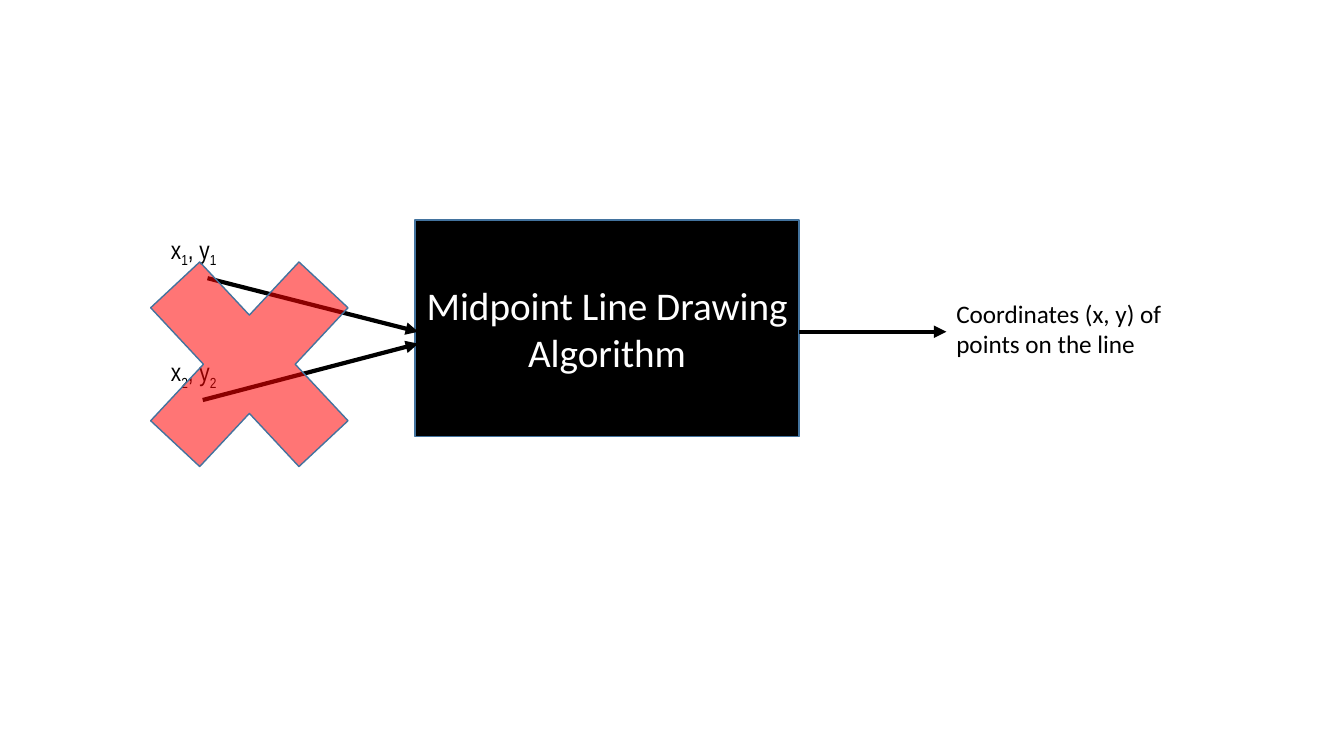
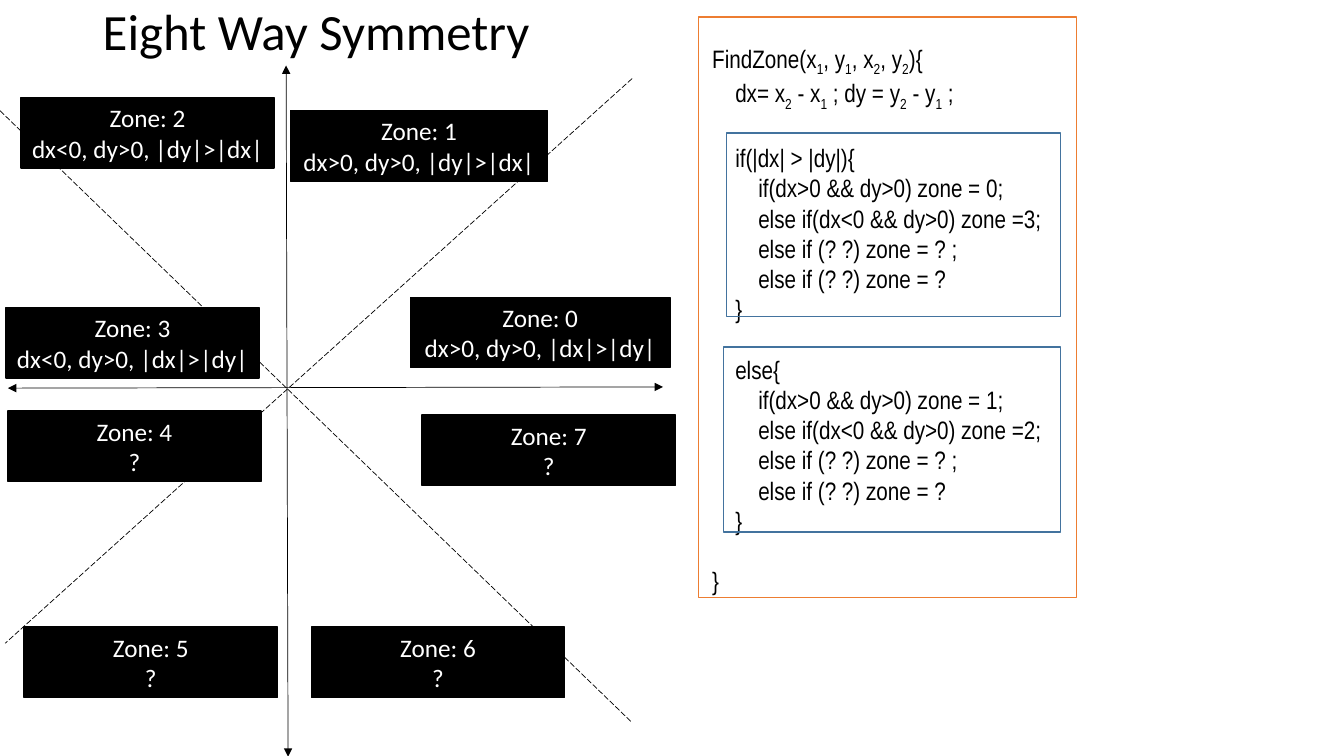
from dataclasses import dataclass

from lxml.etree import SubElement
from pptx import Presentation
from pptx.dml.color import RGBColor
from pptx.enum.dml import MSO_LINE
from pptx.enum.shapes import MSO_CONNECTOR, MSO_SHAPE
from pptx.enum.text import MSO_ANCHOR, PP_ALIGN
from pptx.oxml.ns import qn
from pptx.util import Cm, Pt


@dataclass(frozen=True)
class Theme:
    black: str = "000000"
    white: str = "FFFFFF"
    blue: str = "43739E"
    orange: str = "ED7D31"
    red: str = "FF0000"
    sans: str = "Calibri"
    narrow: str = "Arial Narrow"
    title_size: float = 36.3
    block_size: float = 28
    body_size: float = 18
    blank_line: float = 21.6
    code_indent: float = 0.58


@dataclass(frozen=True)
class Box:
    """A rectangle in centimetres."""
    left: float
    top: float
    width: float
    height: float

    def inner(self, left, top, width, height):
        return Box(self.left + left, self.top + top, width, height)

    def point(self, x, y):
        return Cm(self.left + x), Cm(self.top + y)

    @property
    def lengths(self):
        return [Cm(v) for v in (self.left, self.top, self.width, self.height)]


THEME = Theme()

ZONES = [  # left, top, width, condition; the index is the zone number
    (10.34, 5.84, 6.55, "dx>0, dy>0, |dx|>|dy|"),
    (7.32, 1.14, 6.48, "dx>0, dy>0, |dy|>|dx|"),
    (0.53, 0.81, 6.38, "dx<0, dy>0, |dy|>|dx|"),
    (0.15, 6.1, 6.38, "dx<0, dy>0, |dx|>|dy|"),
    (0.2, 8.71, 6.38, "?"),
    (0.61, 14.15, 6.38, "?"),
    (7.85, 14.15, 6.38, "?"),
    (10.64, 8.81, 6.38, "?"),
]


def branch(opening, first_zone, second_zone):
    """Return one if/else block as (indent level, text) lines."""
    return [
        (1, opening),
        (2, f"if(dx>0 && dy>0) zone = {first_zone};"),
        (2, f"else if(dx<0 && dy>0) zone ={second_zone};"),
        (2, "else if (? ?) zone = ? ;"),
        (2, "else if (? ?) zone = ?"),
        (1, "}"),
    ]


CODE_BLOCKS = [
    [(0, "FindZone(x_1, y_1, x_2, y_2){"),
     (1, "dx= x_2 - x_1 ; dy = y_2 - y_1 ;")],
    branch("if(|dx| > |dy|){", 0, 3),
    branch("else{", 1, 2),
    [(0, "}")],
]


def style_runs(paragraph, size, color, font):
    for run in paragraph.runs:
        run.font.size = Pt(size)
        run.font.name = font
        run.font.color.rgb = RGBColor.from_string(color)


def write_subscripted(paragraph, text):
    """Write text in which an underscore lowers the next character."""
    first, *rest = text.split("_")
    paragraph.text = first
    for part in rest:
        index = paragraph.add_run()
        index.text = part[0]
        index.font._element.set("baseline", "-25000")
        if part[1:]:
            paragraph.add_run().text = part[1:]
    style_runs(paragraph, THEME.body_size, THEME.black, THEME.narrow)


def add_text_frame(slide, box):
    text_frame = slide.shapes.add_textbox(*box.lengths).text_frame
    text_frame.word_wrap = True
    return text_frame


def add_text(slide, box, text, size=THEME.body_size):
    text_frame = add_text_frame(slide, box)
    text_frame.text = text
    style_runs(text_frame.paragraphs[0], size, THEME.black, THEME.sans)
    return text_frame


def add_shape(slide, box, line, fill=None, kind=MSO_SHAPE.RECTANGLE):
    shape = slide.shapes.add_shape(kind, *box.lengths)
    shape.shadow.inherit = False
    shape.line.color.rgb = RGBColor.from_string(line)
    shape.line.width = Pt(1)
    if fill:
        shape.fill.solid()
        shape.fill.fore_color.rgb = RGBColor.from_string(fill)
    else:
        shape.fill.background()
    return shape


def add_black_block(slide, box, text, line, size=THEME.body_size):
    text_frame = add_shape(slide, box, line, THEME.black).text_frame
    text_frame.word_wrap = True
    text_frame.vertical_anchor = MSO_ANCHOR.MIDDLE
    text_frame.text = text
    for paragraph in text_frame.paragraphs:
        paragraph.alignment = PP_ALIGN.CENTER
        style_runs(paragraph, size, THEME.white, THEME.sans)


def add_line(slide, start, end, width, arrows=(), dash=None):
    """Draw a line; arrows names the ends (headEnd, tailEnd) that get a tip."""
    connector = slide.shapes.add_connector(MSO_CONNECTOR.STRAIGHT, *start, *end)
    connector.line.color.rgb = RGBColor.from_string(THEME.black)
    connector.line.width = Pt(width)
    if dash:
        connector.line.dash_style = dash
    properties = connector._element.spPr
    for arrow in arrows:
        SubElement(properties.find(qn("a:ln")), qn(f"a:{arrow}"), type="triangle")
    SubElement(properties, qn("a:effectLst"))


def add_cross(slide, box):
    cross = add_shape(slide, box, THEME.blue, THEME.red, MSO_SHAPE.MATH_MULTIPLY)
    color = cross._element.spPr.find(f"{qn('a:solidFill')}/{qn('a:srgbClr')}")
    SubElement(color, qn("a:alpha"), val="54000")


def add_algorithm_flow(slide, box):
    add_black_block(slide, box.inner(7.77, 0.21, 9.68, 5.46),
                    "Midpoint Line Drawing Algorithm", THEME.blue, THEME.block_size)
    for start, end in [((2.54, 1.68), (7.85, 3.03)),
                       ((2.42, 4.75), (7.85, 3.33)),
                       ((17.45, 3.03), (21.16, 3.03))]:
        add_line(slide, box.point(*start), box.point(*end), 3, ["tailEnd"])
    for top, label in [(0.44, "x_1, y_1"), (3.53, "x_2, y_2")]:
        text_frame = add_text_frame(slide, box.inner(1.37, top, 2.49, 1.02))
        write_subscripted(text_frame.paragraphs[0], label)
    add_text(slide, box.inner(21.16, 2.06, 6.1, 1.8),
             "Coordinates (x, y) of points on the line")
    add_cross(slide, box.inner(0, 0, 7.19, 7.7))


def add_title(slide, box, text):
    text_frame = add_text(slide, box, text, THEME.title_size)
    text_frame.vertical_anchor = MSO_ANCHOR.MIDDLE
    text_frame.paragraphs[0].line_spacing = 0.7


def add_zone_diagram(slide, box):
    for start, end in [((7.21, 0), (7.26, 17.42)), ((0.2, 8.13), (16.71, 8.1))]:
        add_line(slide, box.point(*start), box.point(*end), 0.5, ["headEnd", "tailEnd"])
    for start, end in [((0, 1.14), (15.93, 16.56)), ((15.93, 0.33), (0.13, 14.56))]:
        add_line(slide, box.point(*start), box.point(*end), 0.5, dash=MSO_LINE.LONG_DASH)
    for number, (left, top, width, condition) in enumerate(ZONES):
        add_black_block(slide, box.inner(left, top, width, 1.78),
                        f"Zone: {number}\n{condition}", THEME.black)


def add_code_panel(slide, box):
    text_frame = add_text_frame(slide, box.inner(0.1, 0.54, 15.42, 14.1))
    paragraph = text_frame.paragraphs[0]
    for block_number, block in enumerate(CODE_BLOCKS):
        for line_number, (level, text) in enumerate(block):
            if block_number or line_number:
                paragraph = text_frame.add_paragraph()
            write_subscripted(paragraph, text)
            properties = paragraph._p.get_or_add_pPr()
            properties.set("marL", str(Cm(level * THEME.code_indent)))
            properties.set("indent", "0")
            if block_number and not line_number:
                paragraph.space_before = Pt(THEME.blank_line)
    add_shape(slide, box.inner(0.71, 2.92, 8.41, 4.62), THEME.blue)
    add_shape(slide, box.inner(0.64, 8.31, 8.48, 4.67), THEME.blue)
    add_shape(slide, box, THEME.orange)


def main():
    presentation = Presentation()
    presentation.slide_width, presentation.slide_height = Cm(33.87), Cm(19.05)
    blank = presentation.slide_layouts[6]

    flow_slide = presentation.slides.add_slide(blank)
    add_algorithm_flow(flow_slide, Box(2.69, 5.33, 27.26, 7.7))

    symmetry_slide = presentation.slides.add_slide(blank)
    add_title(symmetry_slide, Box(2.34, 0.23, 29.21, 1.42), "Eight Way Symmetry")
    add_zone_diagram(symmetry_slide, Box(0, 1.65, 17.02, 17.42))
    add_code_panel(symmetry_slide, Box(17.6, 0.43, 9.53, 14.63))

    presentation.save("out.pptx")


if __name__ == "__main__":
    main()
